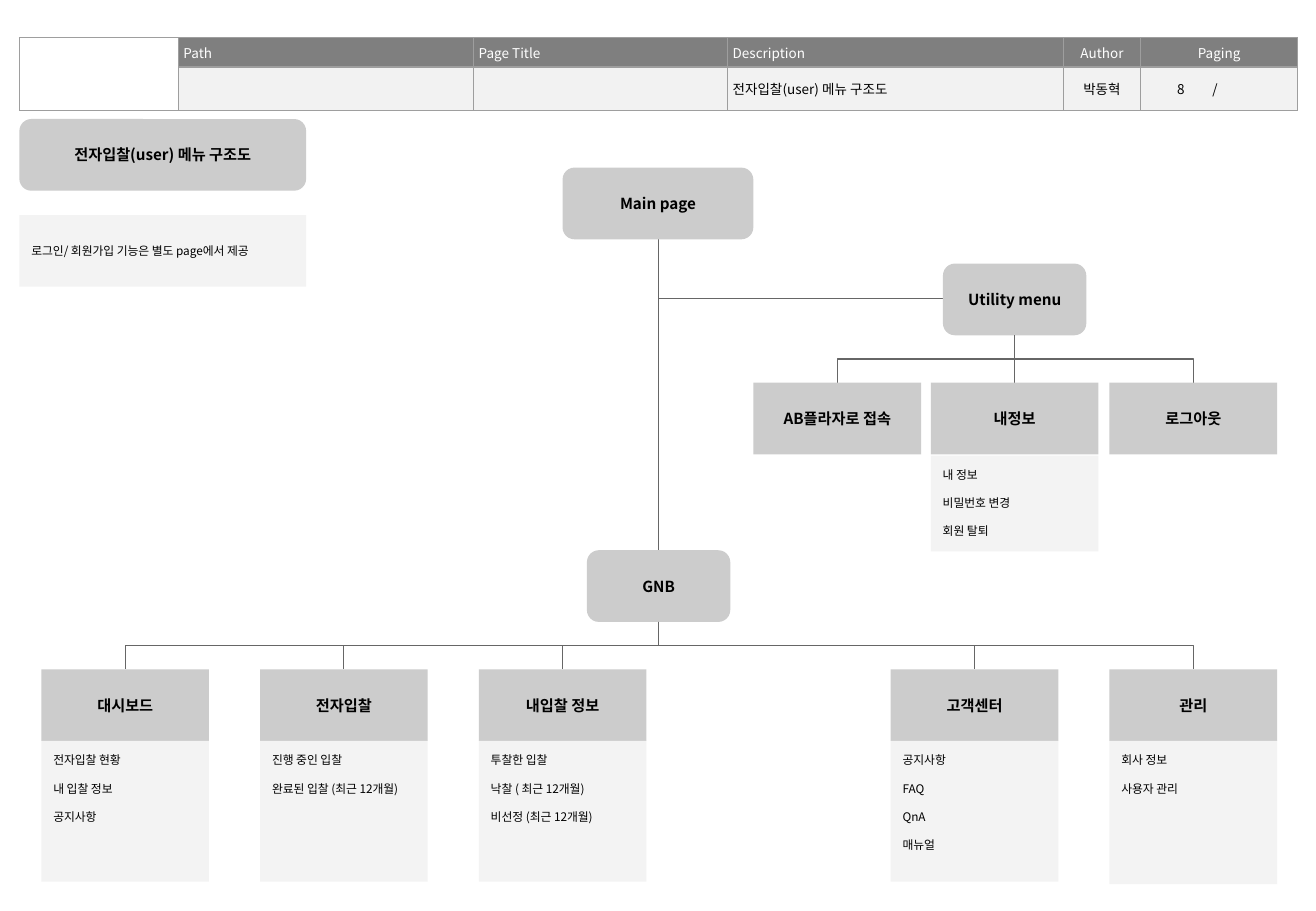
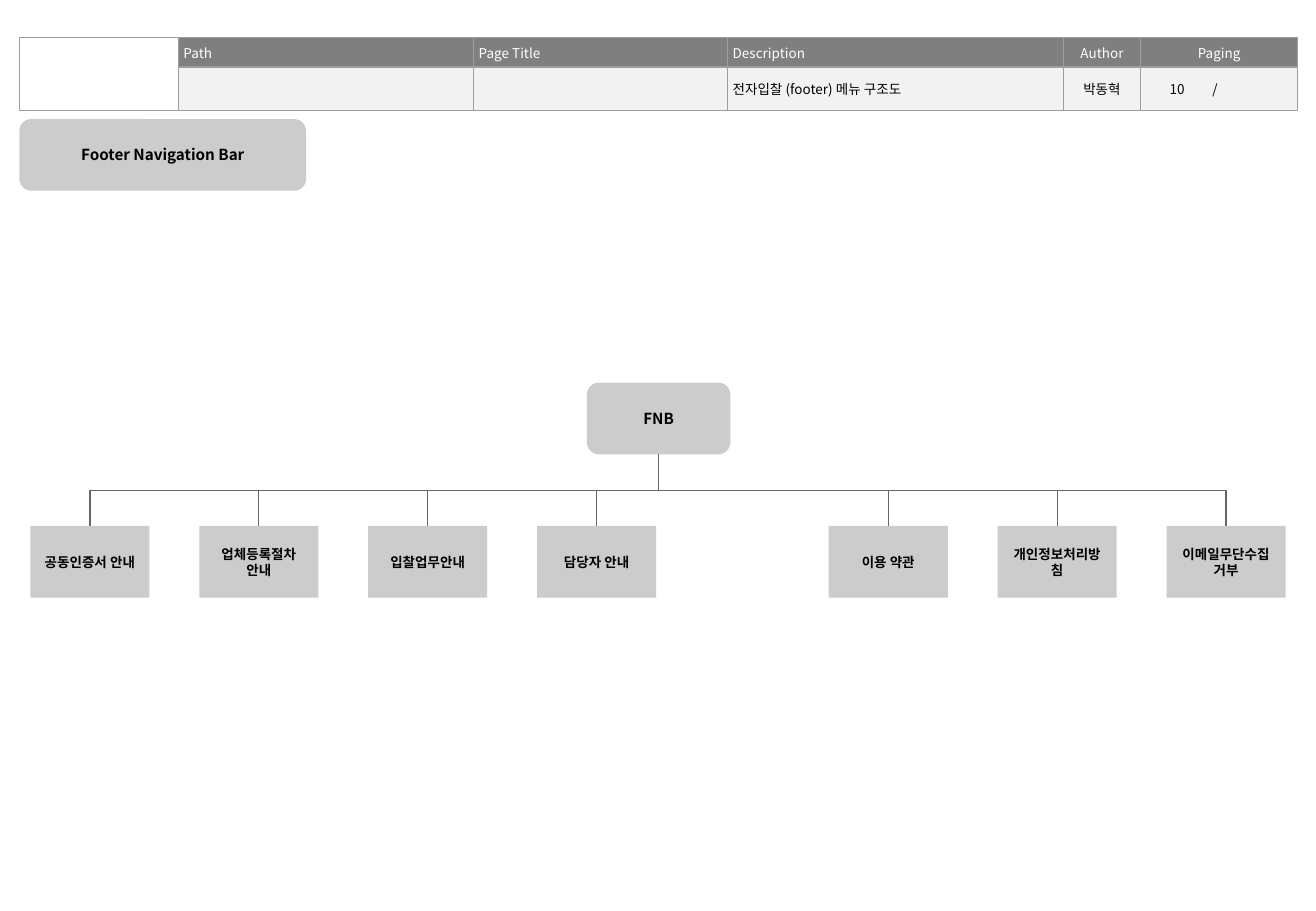
from collections import namedtuple

from lxml.etree import SubElement
from pptx import Presentation
from pptx.dml.color import RGBColor
from pptx.enum.shapes import MSO_CONNECTOR as Link, MSO_SHAPE as Shape
from pptx.enum.text import MSO_ANCHOR as Anchor, PP_ALIGN as Align
from pptx.oxml import parse_xml
from pptx.oxml.ns import nsdecls, qn
from pptx.util import Pt

PX = 9144
FONT = "Noto Sans CJK KR"
BLACK = RGBColor(0x00, 0x00, 0x00)
WHITE = RGBColor(0xFF, 0xFF, 0xFF)
NODE_GRAY = RGBColor(0xCC, 0xCC, 0xCC)
PANEL_GRAY = RGBColor(0xF3, 0xF3, 0xF3)
HEAD_GRAY = RGBColor(0x7F, 0x7F, 0x7F)
CELL_GRAY = RGBColor(0xF2, 0xF2, 0xF2)
BORDER_GRAY = RGBColor(0x9E, 0x9E, 0x9E)
LINE_GRAY = RGBColor(0x66, 0x66, 0x66)

Box = namedtuple("Box", "left top width height")
HEADER_BOX = Box(16, 31, 1052, 60)
TITLE_BOX = Box(16, 98, 236, 59)
HEADER_COLUMNS = (131, 243, 209, 276, 64, 40, 42, 47)
HEADER_ROWS = (24, 36)
NODE_HEIGHT = 59
PARAGRAPH_GAP = Pt(8.3)


def px(value):
    """Turn px into EMU."""
    return round(value * PX)


def write(frame, lines, size=9, bold=False, color=BLACK, align=Align.LEFT, gap=0):
    """Fill a text frame with one paragraph for each line."""
    frame.word_wrap = True
    for index, line in enumerate(lines):
        para = frame.add_paragraph() if index else frame.paragraphs[0]
        para.alignment = align
        para.space_after = gap
        if not line:
            SubElement(para._p, qn("a:endParaRPr"), sz=str(size * 100))
            continue
        span = para.add_run()
        span.text = line
        span.font.name = FONT
        span.font.size = Pt(size)
        span.font.bold = bold
        span.font.color.rgb = color
        SubElement(span._r.get_or_add_rPr(), qn("a:ea"), typeface=FONT)


def block(page, box, lines, kind=Shape.RECTANGLE, fill=NODE_GRAY, anchor=Anchor.MIDDLE, **text_format):
    """Draw a flat filled shape with text and return its box."""
    shape = page.shapes.add_shape(kind, *map(px, box))
    shape.shadow.inherit = False
    shape.fill.solid()
    shape.fill.fore_color.rgb = fill
    shape.line.fill.background()
    frame = shape.text_frame
    frame.margin_left = frame.margin_right = px(10)
    frame.margin_top = frame.margin_bottom = px(10)
    frame.vertical_anchor = anchor
    write(frame, lines, **text_format)
    return box


def node(page, box, label, size=9, rounded=False):
    """Draw a menu node with a bold centred label."""
    kind = Shape.ROUNDED_RECTANGLE if rounded else Shape.RECTANGLE
    return block(page, box, [label], kind, size=size, bold=True, align=Align.CENTER)


def panel(page, box, lines, anchor=Anchor.TOP):
    """Draw a light panel of small left-aligned lines."""
    block(page, box, lines, fill=PANEL_GRAY, anchor=anchor, size=7, gap=PARAGRAPH_GAP)


def link(page, start, end):
    """Join two points with a straight line or a down-across-down elbow."""
    (x1, y1), (x2, y2) = start, end
    straight = x1 == x2 or y1 == y2
    if straight:
        ends = x1, y1, x2, y2
    else:
        turn = 1 if x2 < x1 else -1
        mid_x, mid_y = (x1 + x2) / 2, (y1 + y2) / 2
        half_drop, half_run = turn * (y2 - y1) / 2, abs(x2 - x1) / 2
        ends = mid_x - half_drop, mid_y - half_run, mid_x + half_drop, mid_y + half_run
    line = page.shapes.add_connector(Link.STRAIGHT if straight else Link.ELBOW, *map(px, ends))
    line.line.color.rgb = LINE_GRAY
    line.line.width = Pt(0.75)
    properties = line._element.spPr
    SubElement(properties, qn("a:effectLst"))
    if not straight:
        properties.find(qn("a:xfrm")).set("rot", str((90 if turn > 0 else 270) * 60000))


def middle(box):
    """Return the horizontal middle of a box."""
    return box.left + box.width / 2


def branch(page, parent, lefts, labels, top, width, size=9):
    """Draw a row of nodes linked to the parent box above and return their boxes."""
    boxes = [Box(left, top, width, NODE_HEIGHT) for left in lefts]
    for box, label in zip(boxes, labels):
        link(page, (middle(parent), parent.top + parent.height), (middle(box), top))
        node(page, box, label, size)
    return boxes


def border(cell, sides):
    """Outline the named sides of a table cell and clear the others."""
    properties = cell._tc.get_or_add_tcPr()
    for index, side in enumerate("LRTB"):
        paint = f'<a:solidFill><a:srgbClr val="{BORDER_GRAY}"/></a:solidFill>' if side in sides else "<a:noFill/>"
        edge = parse_xml(f'<a:ln{side} {nsdecls("a")} w="9525">{paint}</a:ln{side}>')
        properties.insert(index, edge)


def header(page, box, description, number):
    """Draw the page information table."""
    rows = (
        ("", "Path", "Page Title", "Description", "Author", "Paging", "", ""),
        ("", "", "", description, "박동혁", number, "/", ""),
    )
    table = page.shapes.add_table(2, len(HEADER_COLUMNS), *map(px, box)).table
    for column, width in zip(table.columns, HEADER_COLUMNS):
        column.width = px(width)
    for row, height in zip(table.rows, HEADER_ROWS):
        row.height = px(height)
    open_sides = {5: "LTB", 6: "TB", 7: "RTB"}
    for r, texts in enumerate(rows):
        for c, text in enumerate(texts):
            cell = table.cell(r, c)
            cell.margin_left = cell.margin_right = px(4)
            cell.margin_top = cell.margin_bottom = px(4)
            cell.vertical_anchor = Anchor.MIDDLE
            cell.fill.solid()
            cell.fill.fore_color.rgb = WHITE if c == 0 else (HEAD_GRAY, CELL_GRAY)[r]
            border(cell, open_sides.get(c, "LRTB") if r else "LRTB")
            align = Align.LEFT if c < 4 else Align.RIGHT if r and c == 5 else Align.CENTER
            write(cell.text_frame, [text], size=8, color=BLACK if r else WHITE, align=align)
    table.cell(0, 0).merge(table.cell(1, 0))
    table.cell(0, 5).merge(table.cell(0, 7))


def menu_page(deck, description, number, title):
    """Add a page with the shared header and title node."""
    page = deck.slides.add_slide(deck.slide_layouts[6])
    header(page, HEADER_BOX, description, number)
    node(page, TITLE_BOX, title, rounded=True)
    return page


def user_menu(deck):
    """Build the user menu structure page."""
    title = "전자입찰(user) 메뉴 구조도"
    page = menu_page(deck, title, "8", title)
    note = TITLE_BOX._replace(top=177)
    panel(page, note, ["로그인/ 회원가입 기능은 별도 page에서 제공"], Anchor.MIDDLE)

    main = Box(463, 138, 157, NODE_HEIGHT)
    utility = Box(776, 217, 118, NODE_HEIGHT)
    gnb = Box(483, 453, 118, NODE_HEIGHT)
    trunk = middle(gnb)
    link(page, (trunk, main.top + main.height), (trunk, gnb.top))
    link(page, (trunk, 246), (utility.left, 246))
    for box, label in ((main, "Main page"), (utility, "Utility menu"), (gnb, "GNB")):
        node(page, box, label, rounded=True)

    utility_labels = ("AB플라자로 접속", "내정보", "로그아웃")
    account = branch(page, utility, (620, 766, 913), utility_labels, 315, 138)[1]
    account_panel = account._replace(top=375, height=79)
    panel(page, account_panel, ["내 정보", "비밀번호 변경", "회원 탈퇴"])

    menus = {
        "대시보드": ["전자입찰 현황", "내 입찰 정보", "공지사항"],
        "전자입찰": ["진행 중인 입찰", "완료된 입찰 (최근 12개월)"],
        "내입찰 정보": ["투찰한 입찰", "낙찰 ( 최근 12개월)", "비선정 (최근 12개월)"],
        "고객센터": ["공지사항", "FAQ", "QnA", "매뉴얼"],
        "관리": ["회사 정보", "사용자 관리"],
    }
    lefts = [*range(34, 395, 180), 733, 913]
    heights = (116, 116, 116, 116, 118)
    for box, lines, height in zip(branch(page, gnb, lefts, menus, 551, 138), menus.values(), heights):
        panel(page, box._replace(top=box.top + box.height, height=height), lines)


def footer_menu(deck):
    """Build the footer menu structure page."""
    page = menu_page(deck, "전자입찰 (footer) 메뉴 구조도", "10", "Footer Navigation Bar")
    fnb = node(page, Box(483, 315, 118, NODE_HEIGHT), "FNB", rounded=True)
    labels = (
        "공동인증서 안내", "업체등록절차 안내", "입찰업무안내", "담당자 안내",
        "이용 약관", "개인정보처리방침", "이메일무단수집거부",
    )
    lefts = [*range(25, 443, 139), *range(682, 961, 139)]
    branch(page, fnb, lefts, labels, 433, 98, size=8)


def main():
    """Build and save the deck."""
    deck = Presentation()
    deck.slide_width, deck.slide_height = px(1083), px(750)
    user_menu(deck)
    footer_menu(deck)
    deck.save("out.pptx")


if __name__ == "__main__":
    main()
